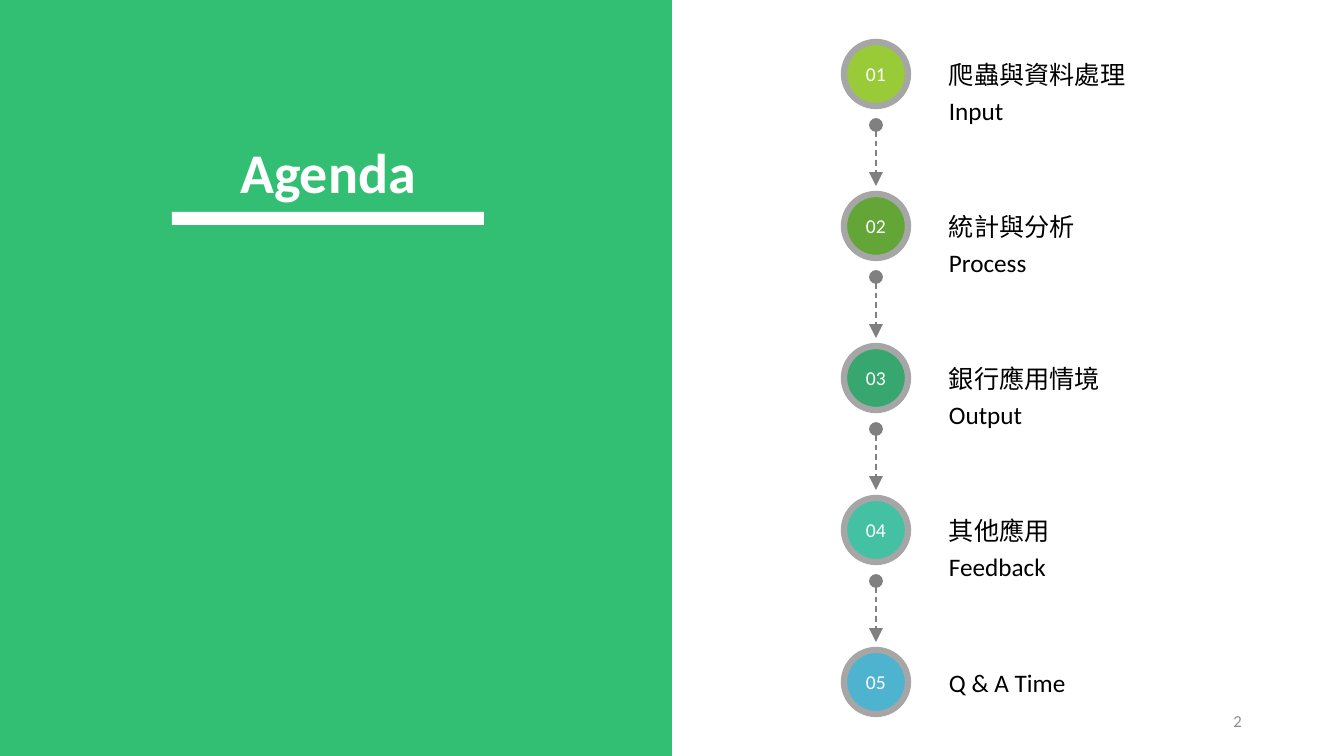
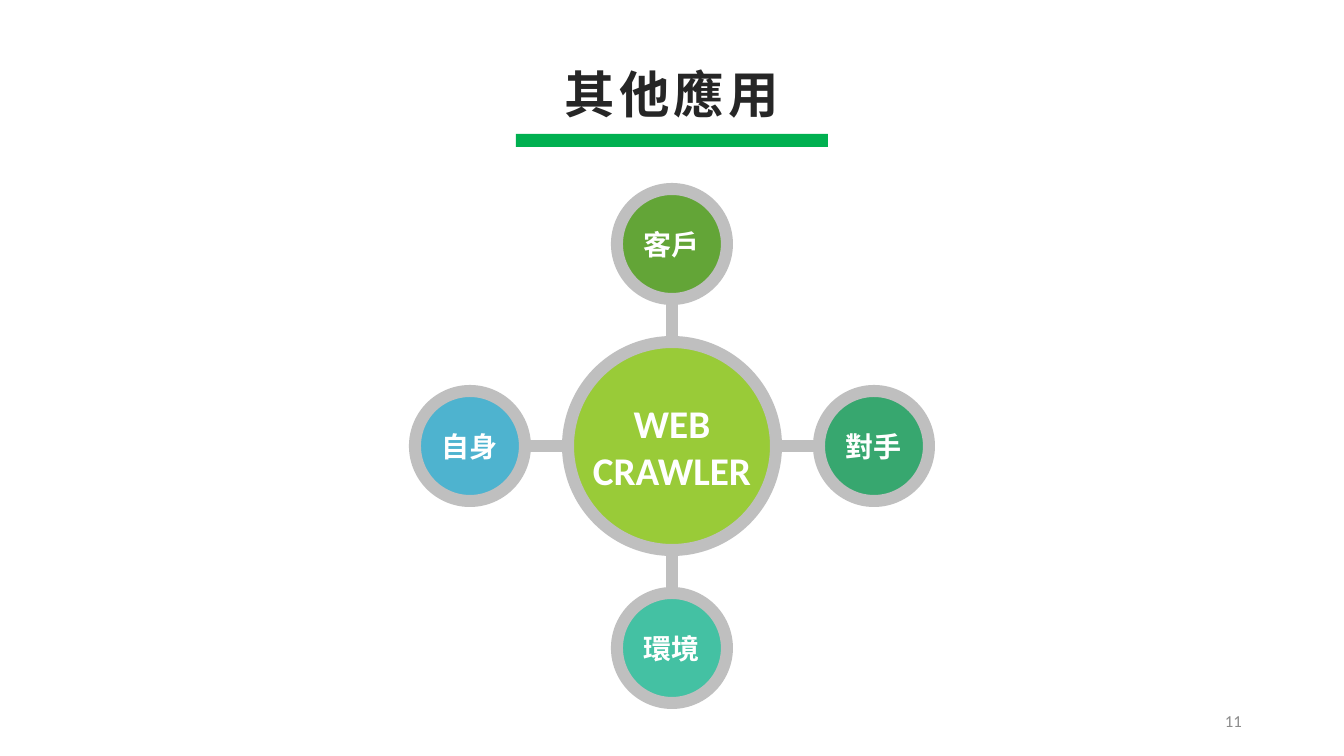
from lxml.etree import SubElement
from pptx import Presentation
from pptx.dml.color import RGBColor
from pptx.enum.dml import MSO_LINE
from pptx.enum.shapes import MSO_CONNECTOR, MSO_SHAPE
from pptx.enum.text import MSO_ANCHOR, MSO_AUTO_SIZE, PP_ALIGN
from pptx.oxml.ns import qn
from pptx.util import Pt

SLIDE_W, SLIDE_H = 1344, 756
EMU_PER_PX = 12192000 / SLIDE_W

WHITE = RGBColor(0xFF, 0xFF, 0xFF)
BLACK = RGBColor(0x00, 0x00, 0x00)
INK = RGBColor(0x26, 0x26, 0x26)
PAGE_GRAY = RGBColor(0x8C, 0x8C, 0x8C)
ARROW_GRAY = RGBColor(0x80, 0x80, 0x80)
BADGE_RING = RGBColor(0xA6, 0xA6, 0xA6)
HUB_RING = RGBColor(0xBF, 0xBF, 0xBF)
GREEN = RGBColor(0x00, 0xB0, 0x50)
LIME = RGBColor(0x99, 0xCB, 0x38)
LEAF = RGBColor(0x63, 0xA5, 0x37)
JADE = RGBColor(0x37, 0xA7, 0x6F)
TEAL = RGBColor(0x44, 0xC1, 0xA3)
SKY = RGBColor(0x4E, 0xB3, 0xCF)

LATIN = "Calibri"
CJK = "Noto Sans CJK SC"


def px(length):
    return round(length * EMU_PER_PX)


class Deck:
    """Holds the shared style and the slide being built."""

    def __init__(self):
        self.prs = Presentation()
        self.prs.slide_width, self.prs.slide_height = px(SLIDE_W), px(SLIDE_H)
        self.slide = None

    def new_slide(self):
        self.slide = self.prs.slides.add_slide(self.prs.slide_layouts[5])

    def fill_frame(self, frame, lines, size, color, font=LATIN, bold=False,
                   align=PP_ALIGN.LEFT, anchor=MSO_ANCHOR.TOP, spacing=0):
        """Fill a text frame, one paragraph per line; spacing is in points."""
        frame.vertical_anchor = anchor
        frame.auto_size = MSO_AUTO_SIZE.NONE
        for index, line in enumerate(lines):
            paragraph = frame.add_paragraph() if index else frame.paragraphs[0]
            paragraph.alignment = align
            run = paragraph.add_run()
            run.text = line
            run.font.size, run.font.bold, run.font.name = Pt(size), bold, font
            run.font.color.rgb = color
            properties = run._r.get_or_add_rPr()
            SubElement(properties, qn("a:ea"), typeface=font)
            if spacing:
                properties.set("spc", str(spacing * 100))

    def title(self, text, center, bar_top, color, bar_color, size,
              font=LATIN, spacing=0):
        """Place a centred title with its thick underline."""
        width, bar_width = 476, 312
        heading = self.slide.shapes.title
        heading.left, heading.top = px(center - width // 2), px(bar_top - 80)
        heading.width, heading.height = px(width), px(78)
        heading.text_frame.word_wrap = True
        self.fill_frame(heading.text_frame, [text], size, color, font, True,
                        PP_ALIGN.CENTER, MSO_ANCHOR.MIDDLE, spacing)
        self.block(center - bar_width // 2, bar_top, bar_width, 13, bar_color)

    def text(self, words, left, top, width, height, size, color, **style):
        box = self.slide.shapes.add_textbox(px(left), px(top), px(width), px(height))
        box.text_frame.word_wrap = True
        self.fill_frame(box.text_frame, [words], size, color, **style)

    def page_number(self, number):
        self.text(number, 950, 701, 302, 40, 12, PAGE_GRAY,
                  align=PP_ALIGN.RIGHT, anchor=MSO_ANCHOR.MIDDLE)

    def block(self, left, top, width, height, color, opacity=100,
              preset=MSO_SHAPE.RECTANGLE):
        """Add a flat shape without outline; opacity is in percent."""
        shape = self.slide.shapes.add_shape(
            preset, px(left), px(top), px(width), px(height))
        shape.shadow.inherit = False
        shape.fill.solid()
        shape.fill.fore_color.rgb = color
        shape.line.fill.background()
        if opacity < 100:
            tint = shape._element.spPr.find(qn("a:solidFill")).find(qn("a:srgbClr"))
            SubElement(tint, qn("a:alpha"), val=str(opacity * 1000))
        return shape

    def circle(self, x, y, diameter, color, ring, ring_width, lines, size, **style):
        """Add a ringed circle centred on (x, y) with a white label."""
        disc = self.block(x - diameter // 2, y - diameter // 2, diameter, diameter,
                          color, preset=MSO_SHAPE.OVAL)
        disc.line.color.rgb, disc.line.width = ring, Pt(ring_width)
        frame = disc.text_frame
        frame.word_wrap = False
        frame.margin_left = frame.margin_right = 0
        frame.margin_top = frame.margin_bottom = 0
        self.fill_frame(frame, lines, size, WHITE, align=PP_ALIGN.CENTER,
                        anchor=MSO_ANCHOR.MIDDLE, **style)

    def connector(self, start, end, color, width):
        line = self.slide.shapes.add_connector(
            MSO_CONNECTOR.STRAIGHT, *map(px, (*start, *end)))
        line.line.color.rgb, line.line.width = color, Pt(width)
        SubElement(line._element.spPr, qn("a:effectLst"))
        return line

    def dashed_arrow(self, start, end):
        arrow = self.connector(start, end, ARROW_GRAY, 1)
        arrow.line.dash_style = MSO_LINE.DASH
        outline = arrow._element.spPr.find(qn("a:ln"))
        for tag, kind in (("a:headEnd", "oval"), ("a:tailEnd", "triangle")):
            SubElement(outline, qn(tag), type=kind, w="lg", len="lg")


def agenda_slide(deck):
    deck.new_slide()
    deck.block(0, 0, SLIDE_W // 2, SLIDE_H, GREEN, opacity=80)
    # The panel is added after the title placeholder, so send it behind.
    shapes = deck.slide.shapes
    shapes.title._element.addprevious(shapes[-1]._element)
    deck.title("Agenda", 328, 212, WHITE, WHITE, 40)
    deck.page_number("2")

    steps = [
        ("爬蟲與資料處理", CJK, "Input", LIME),
        ("統計與分析", CJK, "Process", LEAF),
        ("銀行應用情境", CJK, "Output", JADE),
        ("其他應用", CJK, "Feedback", TEAL),
        ("Q & A Time", LATIN, None, SKY),
    ]
    badge_x, first_y, step_gap = 876, 74, 152
    label_x, label_w, label_h = 939, 258, 40
    for index, (topic, font, stage, color) in enumerate(steps):
        y = first_y + index * step_gap
        deck.circle(badge_x, y, 64, color, BADGE_RING, 4.5, [f"{index + 1:02}"], 14)
        deck.text(topic, label_x, y - 20, label_w, label_h, 18, BLACK, font=font)
        if stage:
            deck.text(stage, label_x, y + 16, label_w, label_h, 18, BLACK)
            deck.dashed_arrow((badge_x, y + 51), (badge_x, y + 112))


def applications_slide(deck):
    deck.new_slide()
    deck.title("其他應用", SLIDE_W // 2, 134, INK, GREEN, 36, font=CJK, spacing=3)

    hub_x, hub_y, reach, ring_width = SLIDE_W // 2, 446, 202, 8.6
    targets = [
        ("客戶", 0, -1, LEAF),
        ("對手", 1, 0, JADE),
        ("環境", 0, 1, TEAL),
        ("自身", -1, 0, SKY),
    ]
    for target, dx, dy, color in targets:
        x, y = hub_x + dx * reach, hub_y + dy * reach
        deck.connector((hub_x, hub_y), (x, y), HUB_RING, ring_width)
        deck.circle(x, y, 110, color, HUB_RING, ring_width, [target], 20,
                    font=CJK, bold=True)
    deck.circle(hub_x, hub_y, 208, LIME, HUB_RING, ring_width,
                ["WEB", "CRAWLER"], 28, bold=True)
    deck.page_number("11")


def main():
    deck = Deck()
    agenda_slide(deck)
    applications_slide(deck)
    deck.prs.save("out.pptx")


if __name__ == "__main__":
    main()
